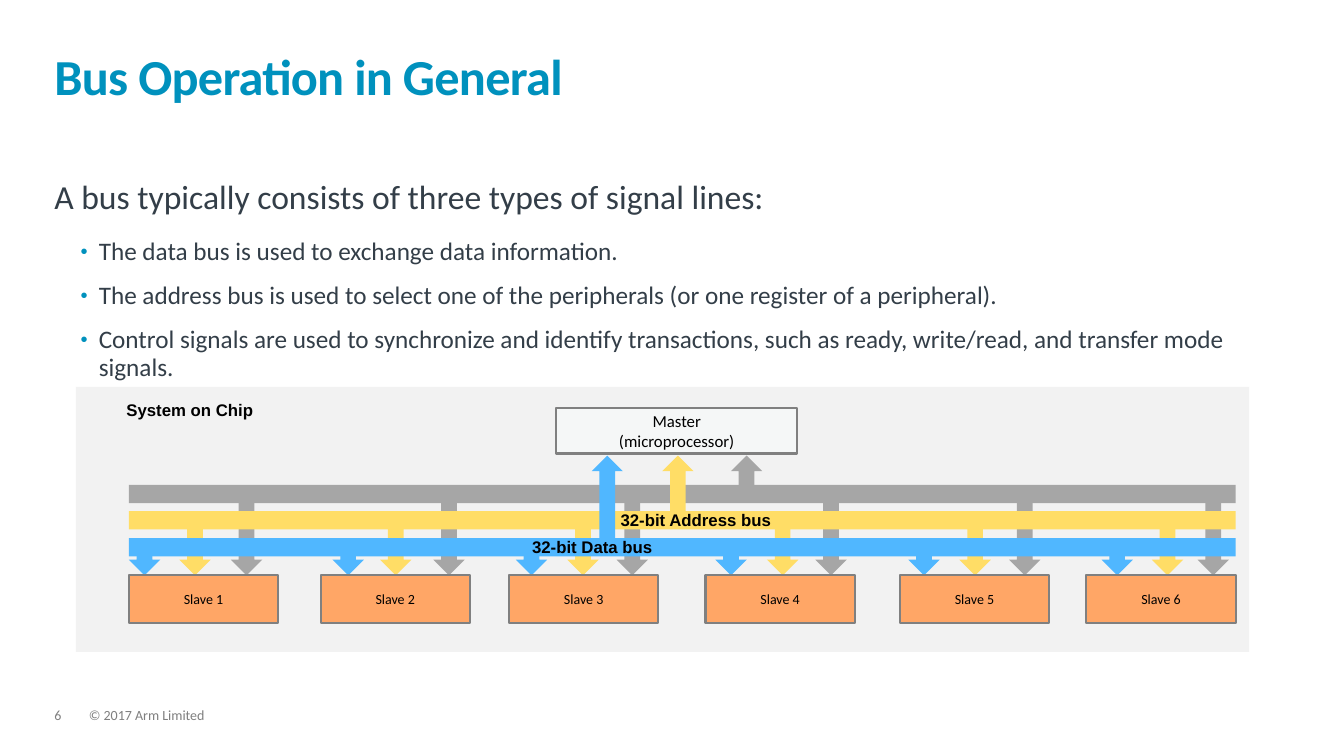
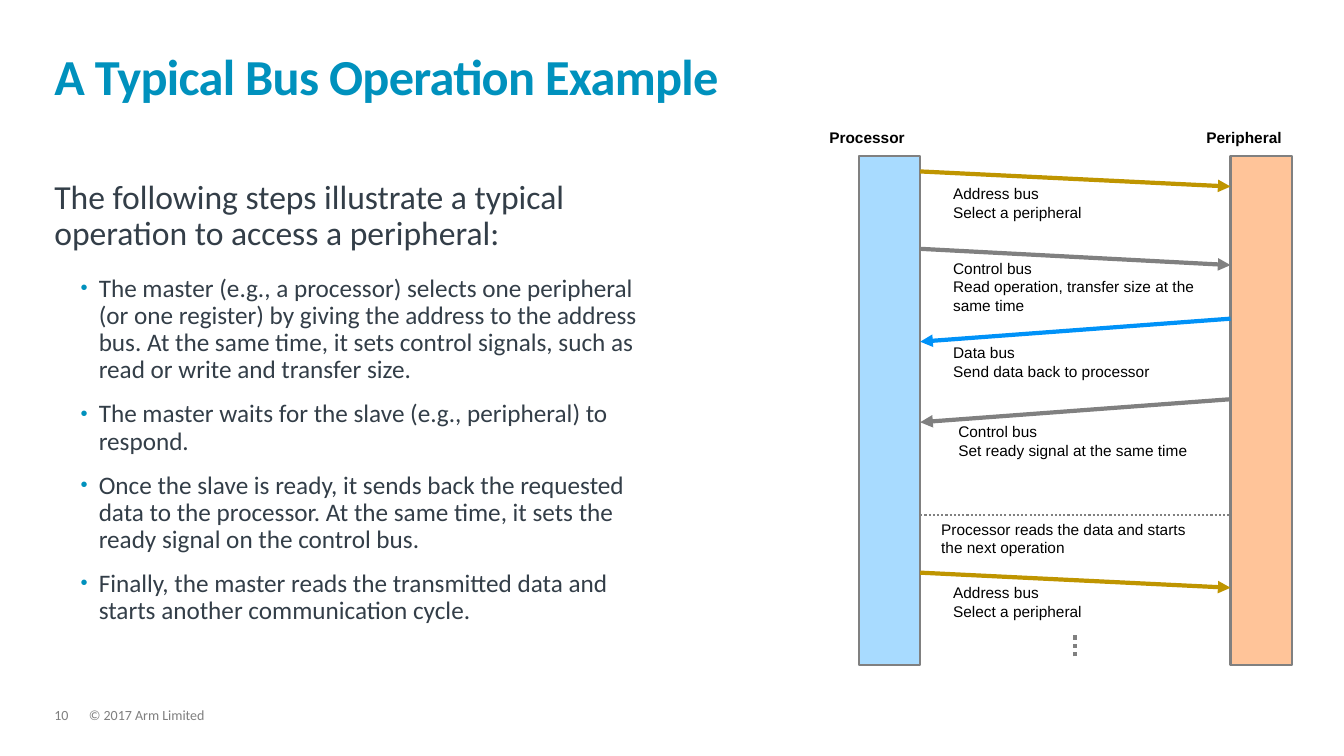
"""Build two slides on how a bus works: its signal lines and a typical transfer."""
import lxml.etree
import pptx
import pptx.dml.color
import pptx.enum.dml
import pptx.enum.shapes
import pptx.enum.text
import pptx.oxml.ns
import pptx.util

Cm = pptx.util.Cm
Pt = pptx.util.Pt
RGB = pptx.dml.color.RGBColor
SHAPE = pptx.enum.shapes.MSO_SHAPE
ALIGN = pptx.enum.text.PP_ALIGN
ANCHOR = pptx.enum.text.MSO_ANCHOR
DOTS = pptx.enum.dml.MSO_LINE.ROUND_DOT

TEAL = RGB(0x00, 0x91, 0xBD)
SLATE = RGB(0x33, 0x3E, 0x48)
BLACK = RGB(0x00, 0x00, 0x00)
GRAY = RGB(0x80, 0x80, 0x80)
FOOT = RGB(0x7F, 0x7F, 0x7F)
PANEL = RGB(0xF2, 0xF2, 0xF2)
WHITE = RGB(0xF5, 0xF7, 0xF7)
SILVER = RGB(0xA6, 0xA6, 0xA6)
YELLOW = RGB(0xFF, 0xDD, 0x66)
BLUE = RGB(0x50, 0xB7, 0xFF)
ORANGE = RGB(0xFF, 0xA6, 0x66)
SKY = RGB(0xA8, 0xDB, 0xFF)
PEACH = RGB(0xFF, 0xC4, 0x99)
GOLD = RGB(0xBF, 0x95, 0x00)
AZURE = RGB(0x00, 0x92, 0xF8)

LEFT, WIDE = 1.37, 31.06
OWNER = "© 2017 Arm Limited"

LINES = {
    "page": "6",
    "title": "Bus Operation in General",
    "width": WIDE,
    "lead": "A bus typically consists of three types of signal lines:",
    "points": [
        "The data bus is used to exchange data information.",
        "The address bus is used to select one of the peripherals (or one register of a peripheral).",
        "Control signals are used to synchronize and identify transactions, such as ready, write/read, and transfer mode signals.",
    ],
}
STEPS = {
    "page": "10",
    "title": "A Typical Bus Operation Example",
    "width": 14.86,
    "lead": "The following steps illustrate a typical operation to access a peripheral:",
    "points": [
        "The master (e.g., a processor) selects one peripheral (or one register) by giving the address to the address bus. At the same time, it sets control signals, such as read or write and transfer size.",
        "The master waits for the slave (e.g., peripheral) to respond.",
        "Once the slave is ready, it sends back the requested data to the processor. At the same time, it sets the ready signal on the control bus.",
        "Finally, the master reads the transmitted data and starts another communication cycle.",
    ],
}

SLAVES = [3.25, 8.08, 12.83, 17.78, 22.68, 27.38]
SLAVE_TOP, SLAVE_WIDE = 14.5, 3.76
BUSES = [
    (SILVER, 12.22, [5.82, 10.92, 15.54, 20.55, 25.43, 30.18], 18.42),
    (YELLOW, 12.88, [4.52, 9.58, 14.3, 19.33, 24.18, 29.03], 16.69),
    (BLUE, 13.56, [3.25, 8.38, 13, 18.03, 22.89, 27.76], 14.91),
]
ARROW, UP_TOP = 0.79, 11.48
TAGS = [
    ("System on Chip", 2.26, 9.96, ALIGN.CENTER),
    ("32-bit Address bus", 15.39, 12.73, ALIGN.LEFT),
    ("32-bit Data bus", 13.16, 13.39, ALIGN.LEFT),
]

BAR_TOP, BAR_WIDE, BAR_HIGH = 3.94, 1.55, 12.83
BARS = [("Processor", 20.65, 21.64, SKY), ("Peripheral", 30.15, 31.01, PEACH)]
SELECT = ["Address bus", "Select a peripheral"]
RIGHT, BACK = True, False
CALLS = [
    (GOLD, RIGHT, 4.32, 4.7, 23.77, 4.52, SELECT),
    (GRAY, RIGHT, 6.27, 6.68, 23.77, 6.4,
     ["Control bus", "Read operation, transfer size at the same time"]),
    (AZURE, BACK, 8.03, 8.61, 23.77, 8.53, ["Data bus", "Send data back to processor"]),
    (GRAY, BACK, 10.06, 10.64, 23.9, 10.52, ["Control bus", "Set ready signal at the same time"]),
    (GOLD, RIGHT, 14.43, 14.81, 23.77, 14.58, SELECT),
]
PAUSE = "Processor reads the data and starts the next operation"


def add_run(para, words, size, color=BLACK, font="Calibri", bold=False):
    run = para.add_run()
    run.text = words
    run.font.size = Pt(size)
    run.font.name = font
    run.font.bold = bold
    run.font.color.rgb = color
    return run


def add_node(parent, tag, **attrs):
    return lxml.etree.SubElement(parent, pptx.oxml.ns.qn(tag), **attrs)


def add_lines(frame, lines, size, align=ALIGN.LEFT, **style):
    for i, words in enumerate(lines):
        para = frame.paragraphs[0] if i == 0 else frame.add_paragraph()
        para.alignment = align
        add_run(para, words, size, **style)


def add_box(slide, x, y, wide, high, inset=True):
    frame = slide.shapes.add_textbox(Cm(x), Cm(y), Cm(wide), Cm(high)).text_frame
    frame.word_wrap = True
    if not inset:
        frame.margin_left = frame.margin_right = frame.margin_top = frame.margin_bottom = 0
    return frame


def add_note(slide, x, y, wide, lines, size=11, bold=False, align=ALIGN.LEFT):
    frame = add_box(slide, x, y, wide, 0.3 + 0.45 * len(lines))
    add_lines(frame, lines, size, align, font="Arial", bold=bold)


def add_block(slide, kind, x, y, wide, high, fill, edge=False, lines=(), size=10):
    block = slide.shapes.add_shape(kind, Cm(x), Cm(y), Cm(wide), Cm(high))
    block.shadow.inherit = False
    block.fill.solid()
    block.fill.fore_color.rgb = fill
    if edge:
        block.line.color.rgb = GRAY
        block.line.width = Pt(1.5)
    else:
        block.line.fill.background()
    if lines:
        block.text_frame.word_wrap = False
        block.text_frame.vertical_anchor = ANCHOR.MIDDLE
        add_lines(block.text_frame, lines, size, ALIGN.CENTER)


def add_line(slide, start, end, color, width=3, dash=None, head=False):
    line = slide.shapes.add_connector(
        pptx.enum.shapes.MSO_CONNECTOR.STRAIGHT, *(Cm(v) for v in (*start, *end)))
    line.line.color.rgb = color
    line.line.width = Pt(width)
    if dash:
        line.line.dash_style = dash
    props = line._element.spPr
    if head:
        add_node(props.find(pptx.oxml.ns.qn("a:ln")), "a:tailEnd", type="triangle")
    add_node(props, "a:effectLst")


def add_bullet(para):
    para.level = 1
    props = para._p.get_or_add_pPr()
    props.set("marL", str(Cm(1.12)))
    props.set("indent", str(-Cm(0.46)))
    add_node(add_node(props, "a:buClr"), "a:srgbClr", val=str(TEAL))
    add_node(props, "a:buSzPct", val="80000")
    add_node(props, "a:buFont", typeface="Arial")
    add_node(props, "a:buChar", char="•")


def add_page(deck, data):
    slide = deck.slides.add_slide(deck.slide_layouts[6])
    for x, wide, words in [(LEFT, 0.86, data["page"]), (2.24, 23.19, OWNER)]:
        foot = add_box(slide, x, 17.86, wide, 0.38, inset=False)
        foot.paragraphs[0].line_spacing = 0.9
        add_run(foot.paragraphs[0], words, 10, FOOT)

    title = add_box(slide, LEFT, 0.81, WIDE, 1.85, inset=False)
    title.vertical_anchor = ANCHOR.BOTTOM
    title.paragraphs[0].line_spacing = 0.85
    run = add_run(title.paragraphs[0], data["title"], 36, TEAL, bold=True)
    run._r.get_or_add_rPr().set("spc", "-50")

    body = add_box(slide, LEFT, 4.55, data["width"], 11.35, inset=False)
    lead = body.paragraphs[0]
    lead.line_spacing, lead.space_after = 0.9, Pt(16)
    add_run(lead, data["lead"], 24, SLATE)
    for words in data["points"]:
        para = body.add_paragraph()
        add_bullet(para)
        para.line_spacing, para.space_after = 0.9, Pt(12)
        add_run(para, words, 18, SLATE)
    return slide


def draw_chip(slide):
    add_block(slide, SHAPE.RECTANGLE, 1.91, 9.75, 29.57, 6.68, PANEL)
    span = SLAVES[-1] + SLAVE_WIDE - SLAVES[0]
    for color, top, drops, _ in BUSES:
        add_block(slide, SHAPE.RECTANGLE, SLAVES[0], top, span, 0.46, color)
        for x in drops:
            add_block(slide, SHAPE.DOWN_ARROW, x, top + 0.1, ARROW, SLAVE_TOP - top - 0.1, color)
    for color, top, _, x in BUSES:
        add_block(slide, SHAPE.UP_ARROW, x, UP_TOP, ARROW, top + 0.1 - UP_TOP, color)
    add_block(slide, SHAPE.RECTANGLE, 14.02, 10.29, 6.07, 1.14, WHITE, True,
              ["Master", "(microprocessor)"], 12)
    for i, x in enumerate(SLAVES, 1):
        add_block(slide, SHAPE.RECTANGLE, x, SLAVE_TOP, SLAVE_WIDE, 1.19, ORANGE, True,
                  [f"Slave {i}"])
    for words, x, y, align in TAGS:
        add_note(slide, x, y, 5.05, [words], 12, True, align)


def draw_calls(slide):
    for name, x, bar, color in BARS:
        add_block(slide, SHAPE.RECTANGLE, bar, BAR_TOP, BAR_WIDE, BAR_HIGH, color, True)
        add_note(slide, x, 3.1, 3.6, [name], bold=True)
    near, far = BARS[0][2] + BAR_WIDE, BARS[1][2]
    for color, right, start, end, x, y, lines in CALLS:
        a, b = (near, far) if right else (far, near)
        add_line(slide, (a, start), (b, end), color, head=True)
        add_note(slide, x, y, 6.96, lines)
    add_line(slide, (near, 12.98), (far, 12.98), GRAY, 1.5, DOTS)
    add_note(slide, 23.47, 12.98, 7.24, [PAUSE])
    mid = (near + far) / 2
    add_line(slide, (mid, 16.54), (mid, 16), GRAY, dash=DOTS)


def main():
    deck = pptx.Presentation()
    deck.slide_width, deck.slide_height = Cm(33.87), Cm(19.05)
    draw_chip(add_page(deck, LINES))
    draw_calls(add_page(deck, STEPS))
    deck.save("out.pptx")


if __name__ == "__main__":
    main()
